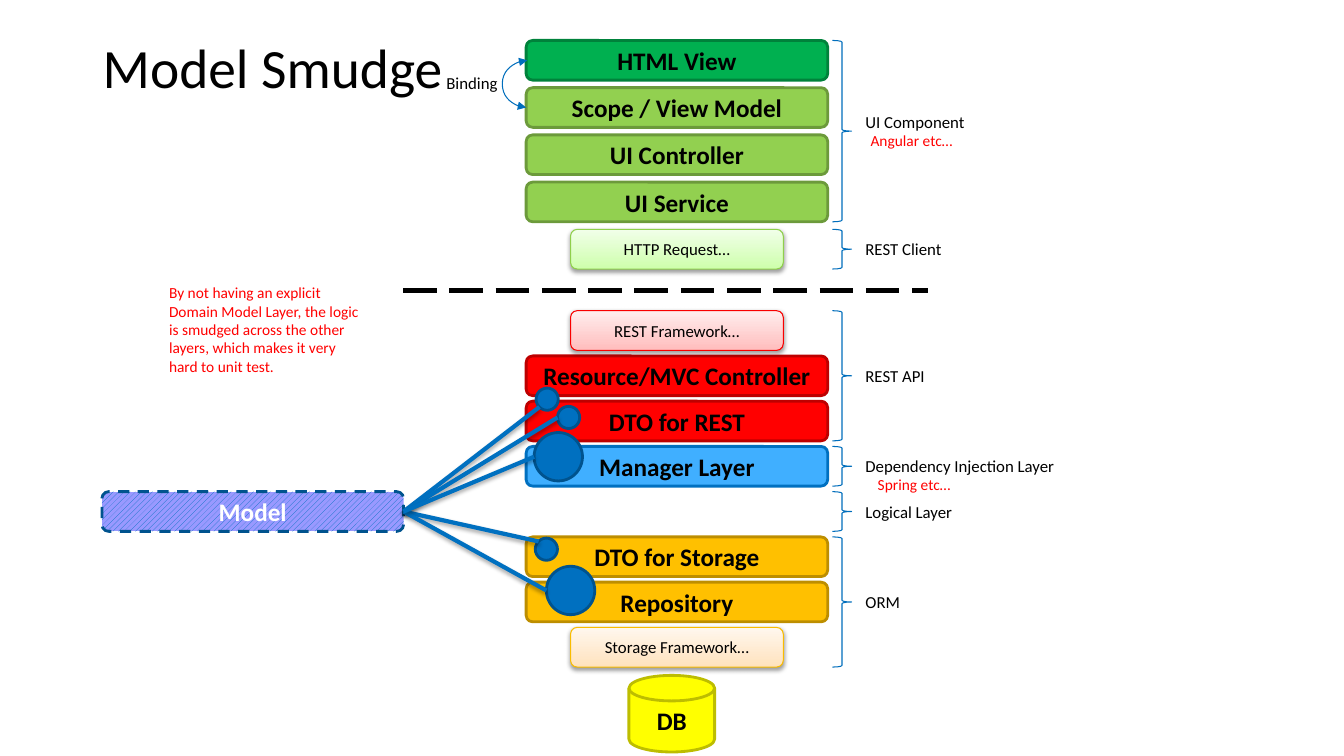
from dataclasses import dataclass
from pptx import Presentation
from pptx.dml.color import RGBColor
from pptx.enum.dml import MSO_LINE, MSO_PATTERN
from pptx.enum.shapes import MSO_CONNECTOR, MSO_SHAPE
from pptx.enum.text import MSO_ANCHOR, PP_ALIGN
from pptx.oxml import parse_xml
from pptx.oxml.ns import nsdecls
from pptx.util import Cm, Pt


@dataclass(frozen=True)
class Theme:
    font: str = "Calibri"
    black: str = "000000"
    white: str = "FFFFFF"
    alert: str = "FF0000"
    thin: str = "006EBC"
    blue: tuple = ("0070C0", "00538E")
    hatch: str = "9999FF"
    green: tuple = ("00B050", "00823B")
    lime: tuple = ("92D050", "6C9A3B")
    red: tuple = ("FF0000", "BD0000")
    sky: tuple = ("40AFFF", "0070C0")
    gold: tuple = ("FFC000", "BD8E00")
    yellow: tuple = ("FFFF00", "BDBD00")
    mint: tuple = ("CEFFAC", "F1FFE9", "8FCF4B")
    rose: tuple = ("FFBDBD", "FFEEEE", "F90000")
    peach: tuple = ("FFE2BD", "FFF7EE", "F9BC00")
    title: float = 39.6
    head: float = 18
    body: float = 12
    note: float = 11


def rgb(code):
    return RGBColor.from_string(code)


class Sketch:
    def __init__(self, slide, theme):
        self.slide = slide
        self.theme = theme

    def letter(self, shape, text, size, color, bold=False):
        frame = shape.text_frame
        frame.text = text
        part = frame.paragraphs[0]
        font = part.runs[0].font
        font.name, font.size, font.bold = self.theme.font, Pt(size), bold
        font.color.rgb = rgb(color)
        return part

    def center(self, shape, text, size, color, bold=False):
        self.letter(shape, text, size, color, bold).alignment = PP_ALIGN.CENTER
        shape.text_frame.vertical_anchor = MSO_ANCHOR.MIDDLE

    def stroke(self, item, color, width):
        item.line.color.rgb = rgb(color)
        item.line.width = Pt(width)

    def shade(self, item, alpha=0, gap=0):
        props = item._element.spPr
        drop = (f'<a:outerShdw blurRad="40000" dist="{gap}" dir="5400000" rotWithShape="0">'
                f'<a:srgbClr val="{self.theme.black}"><a:alpha val="{alpha}000"/></a:srgbClr>'
                '</a:outerShdw>') if alpha else ""
        props.append(parse_xml(f'<a:effectLst {nsdecls("a")}>{drop}</a:effectLst>'))

    def shape(self, kind, left, top, width, height, edge, weight, fill=None):
        item = self.slide.shapes.add_shape(kind, Cm(left), Cm(top), Cm(width), Cm(height))
        if fill:
            item.fill.solid()
            item.fill.fore_color.rgb = rgb(fill)
        else:
            item.fill.background()
        self.stroke(item, edge, weight)
        return item

    def block(self, kind, left, top, width, height, paint, text=None, color=None):
        item = self.shape(kind, left, top, width, height, paint[1], 2, paint[0])
        item.shadow.inherit = False
        if text:
            self.center(item, text, self.theme.head, color or self.theme.black, True)
        return item

    def soft(self, left, top, width, height, paint, text):
        item = self.shape(MSO_SHAPE.ROUNDED_RECTANGLE, left, top, width, height, paint[2], 0.75)
        item.fill.gradient()
        item.fill.gradient_angle = 90
        for stop, code in zip(item.fill.gradient_stops, paint):
            stop.color.rgb = rgb(code)
        self.shade(item, 38, 20000)
        self.center(item, text, self.theme.body, self.theme.black)

    def brace(self, left, top, width, height):
        item = self.shape(MSO_SHAPE.RIGHT_BRACE, left, top, width, height, self.theme.thin, 0.75)
        item.shadow.inherit = False

    def label(self, left, top, width, height, text, size, color, wrap=False):
        box = self.slide.shapes.add_textbox(Cm(left), Cm(top), Cm(width), Cm(height))
        box.text_frame.word_wrap = wrap
        return box, self.letter(box, text, size, color)

    def line(self, start, end, color, width, kind=MSO_CONNECTOR.STRAIGHT, alpha=0):
        item = self.slide.shapes.add_connector(kind, *map(Cm, start + end))
        self.stroke(item, color, width)
        self.shade(item, alpha, 23000)
        return item

    def curve(self, start, end, bend):
        item = self.line(start, end, self.theme.thin, 0.75, MSO_CONNECTOR.CURVE)
        guide = f'<a:gd {nsdecls("a")} name="adj1" fmla="val {bend}"/>'
        item._element.spPr.prstGeom.get_or_add_avLst().append(parse_xml(guide))
        edge = item.line._get_or_add_ln()
        for name in ("headEnd", "tailEnd"):
            edge.append(parse_xml(f'<a:{name} {nsdecls("a")} type="triangle"/>'))


theme = Theme()
deck = Presentation()
deck.slide_width, deck.slide_height = Cm(33.87), Cm(19.05)
art = Sketch(deck.slides.add_slide(deck.slide_layouts[6]), theme)

LEFT, WIDE, HIGH = 13.26, 7.6, 1
INSET = 1.12
ROUND = MSO_SHAPE.ROUNDED_RECTANGLE
front = [1.02 + 1.19 * step for step in range(5)]
back = [7.83 + 1.14 * step for step in range(8)]

box, part = art.label(2.34, 1.02, 22.1, 1.52, "Model Smudge", theme.title, theme.black, True)
box.text_frame.vertical_anchor = MSO_ANCHOR.MIDDLE
part.line_spacing = 0.9

layers = [
    (front[0], theme.green, "HTML View"),
    (front[1], theme.lime, "Scope / View Model"),
    (front[2], theme.lime, "UI Controller"),
    (front[3], theme.lime, "UI Service"),
    (back[1], theme.red, "Resource/MVC Controller"),
    (back[2], theme.red, "DTO for REST"),
    (back[3], theme.sky, "Manager Layer"),
    (back[5], theme.gold, "DTO for Storage"),
    (back[6], theme.gold, "Repository"),
]
for top, paint, text in layers:
    art.block(ROUND, LEFT, top, WIDE, HIGH, paint, text)

links = [
    (front[4], theme.mint, "HTTP Request…"),
    (back[0], theme.rose, "REST Framework…"),
    (back[7], theme.peach, "Storage Framework…"),
]
for top, paint, text in links:
    art.soft(LEFT + INSET, top, WIDE - 2 * INSET, HIGH, paint, text)

art.block(MSO_SHAPE.FLOWCHART_MAGNETIC_DISK, 15.85, 17.02, 2.16, 1.93, theme.yellow, "DB")

groups = [
    (front[0], front[3], "UI Component", 3.05, -0.23),
    (front[4], front[4], "REST Client", 2.44, 0),
    (back[0], back[2], "REST API", 2.03, 0),
    (back[3], back[3], "Dependency Injection Layer", 5.31, 0),
    (back[4], back[4], "Logical Layer", 2.72, 0),
    (back[5], back[7], "ORM", 1.4, 0),
]
for top, last, text, width, shift in groups:
    span = last + HIGH - top
    art.brace(20.98, top, 0.48, span)
    art.label(21.56, top + span / 2 - 0.38 + shift, width, 0.76, text, theme.body, theme.black)

art.label(21.69, 3.18, 2.59, 0.73, "Angular etc…", theme.note, theme.alert)
art.label(21.87, 11.84, 2.36, 0.73, "Spring etc…", theme.note, theme.alert)
art.label(11, 1.7, 1.8, 0.76, "Binding", theme.body, theme.black)
art.curve((LEFT + 0.03, front[0] + HIGH / 2), (LEFT, front[1] + HIGH / 2), 2100000)

split = art.line((10.16, 7.32), (23.39, 7.32), theme.black, 3)
split.line.dash_style = MSO_LINE.LONG_DASH

model = art.block(ROUND, 2.57, back[4], WIDE, HIGH, theme.blue, "Model", theme.white)
model.fill.patterned()
model.fill.pattern = MSO_PATTERN.WIDE_UPWARD_DIAGONAL
model.fill.fore_color.rgb = rgb(theme.blue[0])
model.fill.back_color.rgb = rgb(theme.hatch)
model.line.dash_style = MSO_LINE.DASH

SMALL, LARGE = 0.56, 1.22
spots = [
    (13.51, 9.78, SMALL, 0.15, 0.85),
    (14.05, 10.24, SMALL, 0, 0.5),
    (13.49, 13.56, SMALL, 0.15, 0.15),
    (13.77, 14.27, LARGE, 0, 0.5),
    (13.46, 10.9, LARGE, 0, 0.5),
]
for left, top, size, across, down in spots:
    art.block(MSO_SHAPE.OVAL, left, top, size, size, theme.blue)
    art.line((2.57 + WIDE, back[4] + HIGH / 2), (left + across * size, top + down * size),
             theme.blue[0], 3, alpha=35)

art.label(4.01, 7.01, 5.38, 2.62,
          "By not having an explicit Domain Model Layer, the logic is smudged across "
          "the other layers, which makes it very hard to unit test.",
          theme.note, theme.alert, True)

deck.save("out.pptx")
